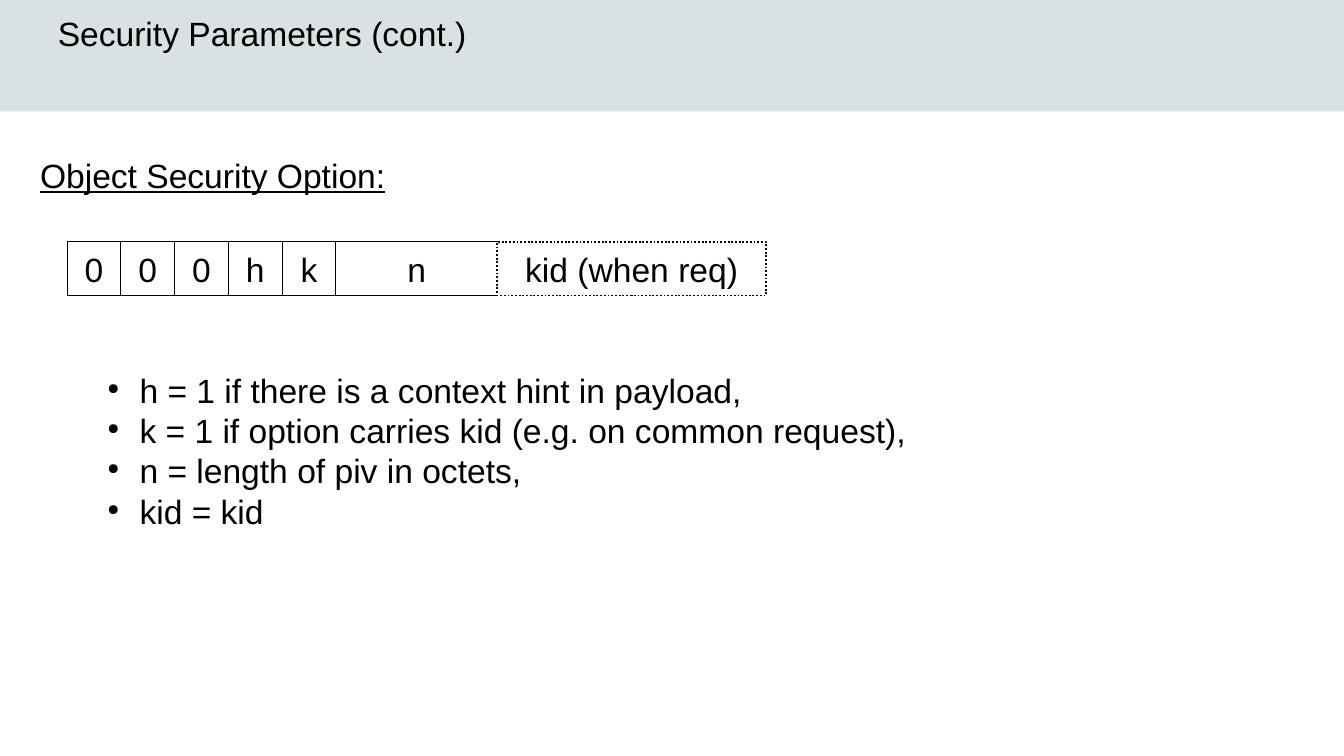
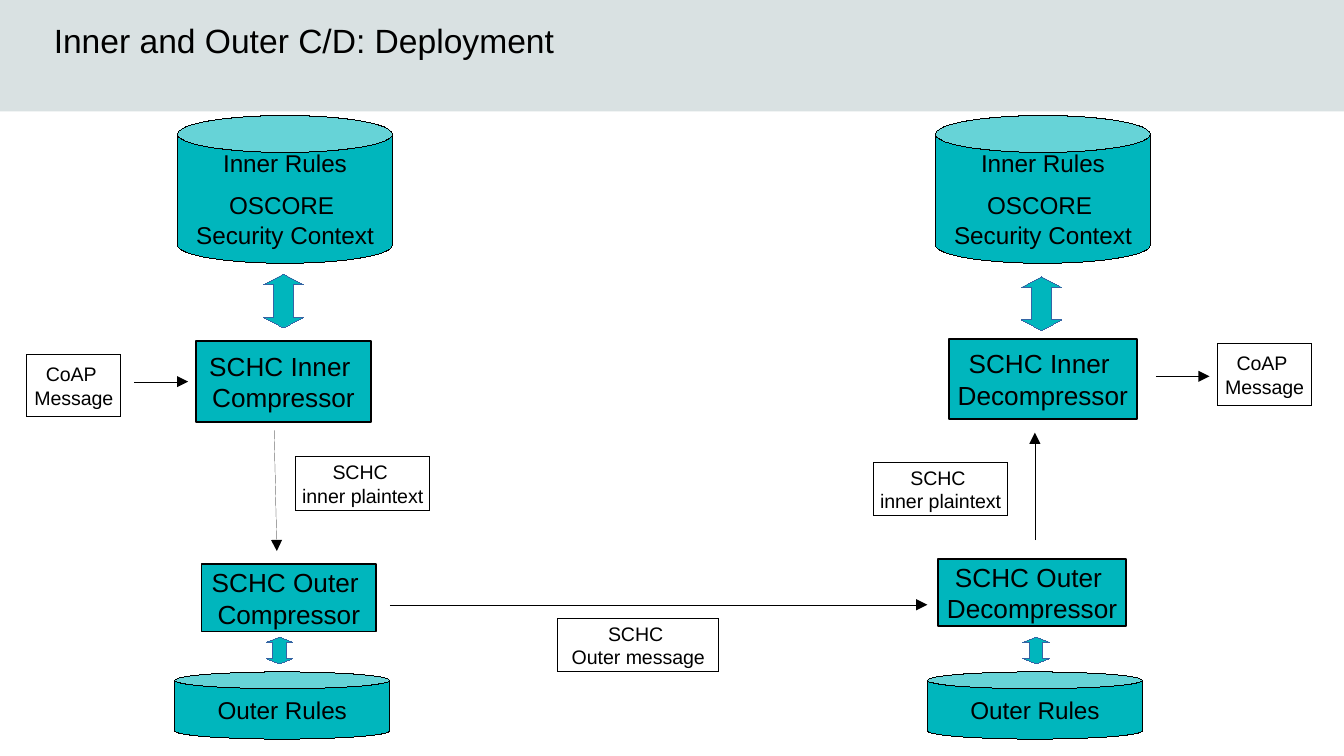
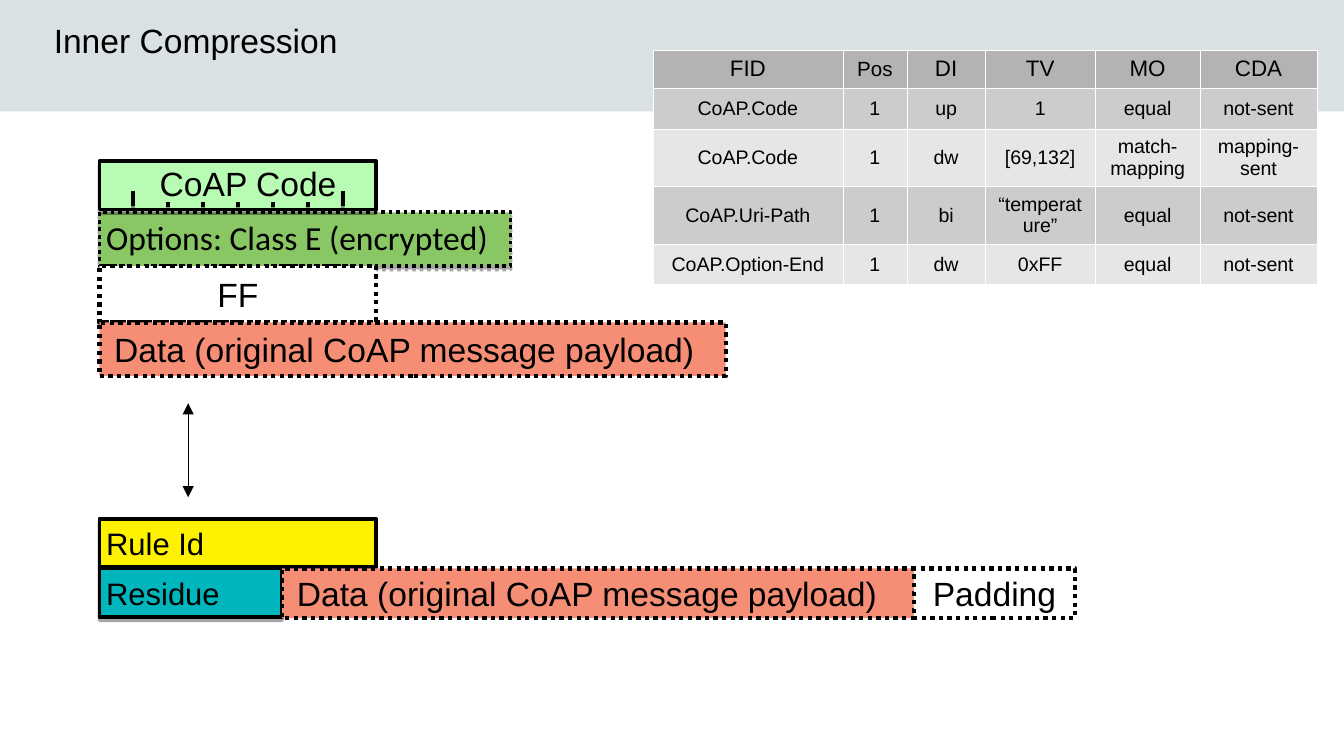
from lxml import etree
from pptx import Presentation
from pptx.dml.color import RGBColor
from pptx.enum.dml import MSO_LINE
from pptx.enum.shapes import MSO_CONNECTOR, MSO_SHAPE
from pptx.enum.text import MSO_ANCHOR, MSO_AUTO_SIZE, PP_ALIGN
from pptx.oxml.ns import qn
from pptx.util import Pt

PX = 9144  # 100 px to the inch
SPAN = 1000 * PX
RECT, CAN, ARROW = MSO_SHAPE.RECTANGLE, MSO_SHAPE.CAN, MSO_SHAPE.LEFT_RIGHT_ARROW
STRAIGHT = MSO_CONNECTOR.STRAIGHT
DOTS = MSO_LINE.ROUND_DOT
LEFT, CENTER = PP_ALIGN.LEFT, PP_ALIGN.CENTER
TOP, MIDDLE = MSO_ANCHOR.TOP, MSO_ANCHOR.MIDDLE
FIXED = MSO_AUTO_SIZE.NONE

COLORS = {
    "band": "D9E1E2", "black": "000000", "white": "FFFFFF", "teal": "00B6BD",
    "blue": "3465A4", "leaf": "89C765", "mint": "B7FCB2", "salmon": "F68E76",
    "yellow": "FFF200", "head": "B3B3B3", "dark": "CCCCCC", "light": "E6E6E6",
}
PAD, WIDE, TIGHT = (10, 5), (11, 6), (5, 5)
DATA = "Data (original CoAP message payload)"

RULES = [
    ["FID", "Pos", "DI", "TV", "MO", "CDA"],
    ["CoAP.Code", "1", "up", "1", "equal", "not-sent"],
    ["CoAP.Code", "1", "dw", "[69,132]", "match-mapping", "mapping-sent"],
    ["CoAP.Uri-Path", "1", "bi", "“temperature”", "equal", "not-sent"],
    ["CoAP.Option-End", "1", "dw", "0xFF", "equal", "not-sent"],
]


def color(name):
    return RGBColor.from_string(COLORS[name])


def scale(place):
    return [n * PX for n in place]


def apply(target, look):
    for key, value in look.items():
        setattr(target, key, value)


def add(parent, tag, **attrs):
    return etree.SubElement(parent, qn(tag), attrs)


# Text
def write(frame, text, size=18, align=CENTER, font="Arial", lead=None, pitch=None):
    """Fill a frame, one paragraph a line; lead maps a line to its space before."""
    for i, line in enumerate(text.split("\n")):
        para = frame.paragraphs[0] if i == 0 else frame.add_paragraph()
        apply(para, {"alignment": align, "line_spacing": pitch,
                     "space_before": Pt((lead or {}).get(i, 0))})
        run = para.add_run()
        run.text = line
        apply(run.font, {"name": font, "size": Pt(size), "bold": False})
        run.font.color.rgb = color("black")


def set_frame(frame, pad, anchor, wrap):
    side, end = pad[0] * PX, pad[1] * PX
    apply(frame, {
        "margin_left": side, "margin_right": side, "margin_top": end,
        "margin_bottom": end, "vertical_anchor": anchor,
        "word_wrap": wrap, "auto_size": FIXED,
    })


def label(slide, place, text):
    frame = slide.shapes.add_textbox(*scale(place)).text_frame
    set_frame(frame, PAD, TOP, True)
    write(frame, text, align=LEFT)
    return frame


def bullet(para):
    props = para._p.get_or_add_pPr()
    indent = 24 * PX
    props.set("marL", str(indent))
    props.set("indent", str(-indent))
    add(add(props, "a:buClr"), "a:srgbClr", val=COLORS["black"])
    add(props, "a:buSzPct", val="45000")
    add(props, "a:buChar", char="●")


# Shapes and lines
def stroke(line, edge, width):
    """Colour a line; the width is written even when 0, for a hairline."""
    line.color.rgb = color(edge)
    props = line._get_or_add_ln()
    props.set("w", str(Pt(width)))
    return props


def shade(effects, alpha, drop):
    shadow = add(effects, "a:outerShdw", blurRad="0", dist=str(Pt(drop)),
                 dir="5400000", rotWithShape="0")
    tint = add(shadow, "a:srgbClr", val=COLORS["black"])
    add(tint, "a:alpha", val=str(alpha * 1000))


def draw(slide, kind, place, fill, text="", edge="black", width=0, dash=None,
         pad=PAD, shadow=False, **look):
    shape = slide.shapes.add_shape(kind, *scale(place))
    shape.shadow.inherit = False
    shape.fill.solid()
    shape.fill.fore_color.rgb = color(fill)
    stroke(shape.line, edge, width)
    shape.line.dash_style = dash
    if shadow:
        shade(shape.element.spPr.find(qn("a:effectLst")), 35, 1.8)
    if text:
        centred = look.get("align", CENTER) == CENTER
        set_frame(shape.text_frame, pad, MIDDLE, not centred)
        write(shape.text_frame, text, **look)
    return shape


def rule(slide, ends, width=0, heads=()):
    """Draw a straight line; heads names the ends that bear an arrowhead."""
    line = slide.shapes.add_connector(STRAIGHT, *scale(ends))
    props = stroke(line.line, "black", width)
    for end in heads:
        add(props, end, type="triangle")
    return add(line.element.spPr, "a:effectLst")


def swap(slide, place, head):
    arrow = draw(slide, ARROW, place, "teal", edge="blue")
    arrow.rotation = 90
    arrow.adjustments[0], arrow.adjustments[1] = 0.5, head


# Shared parts
def add_band(deck):
    slide = deck.slides[0]
    band = draw(slide, RECT, (0, 0, 1000, 83), "band")
    band.line.fill.background()
    deck.slide_master.shapes.element.insert(2, band.element)


def new_slide(deck, title, place=(30, 10, 840, 94), pad=PAD, anchor=TOP):
    slide = deck.slides.add_slide(deck.slide_layouts[5])
    head = slide.shapes.title
    apply(head, dict(zip(("left", "top", "width", "height"), scale(place))))
    set_frame(head.text_frame, pad, anchor, True)
    write(head.text_frame, title, align=LEFT)
    return slide


# Slide 1
def security(deck):
    slide = new_slide(deck, "Security Parameters (cont.)", (43, 0, 791, 49), (0, 0), MIDDLE)
    frame = label(slide, (20, 110, 350, 38), "Object Security Option:")
    frame.paragraphs[0].runs[0].font.underline = True

    left = 50
    for text, wide in zip("000hkn", [40] * 5 + [120]):
        draw(slide, RECT, (left, 180, wide, 40), "white", text)
        left += wide
    draw(slide, RECT, (left, 180, 200, 40), "white", "kid (when req)",
         width=1, dash=DOTS, pad=WIDE)

    notes = label(slide, (70, 270, 830, 122),
                  "h = 1 if there is a context hint in payload,\n"
                  "k = 1 if option carries kid (e.g. on common request),\n"
                  "n = length of piv in octets,\n"
                  "kid = kid")
    for para in notes.paragraphs:
        bullet(para)


# Slide 2
def deployment(deck):
    slide = new_slide(deck, "Inner and Outer C/D: Deployment")

    # Rule stores and the arrows to them
    for left in (132, 696):
        draw(slide, CAN, (left, 86, 160, 110), "teal",
             "Inner Rules\nOSCORE \nSecurity Context", size=13, lead={1: 7})
    for left in (130, 690):
        draw(slide, CAN, (left, 500, 160, 50), "teal", "Outer Rules", size=13)
    for left, top in ((191, 209), (755, 211)):
        swap(slide, (left, top, 40, 30), 0.265)
    for left in (198, 761):
        swap(slide, (left, 474, 20, 20), 0.199)

    # Stages
    for place, text in (
        ((146, 254, 130, 60), "SCHC Inner \nCompressor"),
        ((150, 420, 130, 50), "SCHC Outer \nCompressor"),
        ((698, 416, 140, 50), "SCHC Outer \nDecompressor"),
        ((706, 252, 140, 60), "SCHC Inner \nDecompressor"),
    ):
        draw(slide, RECT, place, "teal", text, width=1, pad=WIDE, size=14)

    # Messages
    for place, text in (
        ((20, 264, 70, 46), "CoAP \nMessage"),
        ((906, 256, 70, 46), "CoAP \nMessage"),
        ((220, 340, 100, 40), "SCHC \ninner plaintext"),
        ((650, 344, 100, 40), "SCHC \ninner plaintext"),
        ((415, 460, 120, 40), "SCHC \nOuter message"),
    ):
        draw(slide, RECT, place, "white", text, size=10.5)

    # Flow
    for ends in ((100, 284, 140, 284), (204, 320, 206, 410), (290, 450, 690, 450),
                 (770, 402, 770, 322), (860, 280, 900, 280)):
        rule(slide, ends, heads=("a:tailEnd",))


# Slide 3
def fill_cell(cell, text, size, fill):
    apply(cell, {"vertical_anchor": MIDDLE, "margin_left": 9 * PX, "margin_right": 9 * PX})
    write(cell.text_frame, text, size)
    cell.fill.solid()
    cell.fill.fore_color.rgb = color(fill)
    props = cell._tc.get_or_add_tcPr()
    for i, side in enumerate(("a:lnL", "a:lnR", "a:lnT", "a:lnB")):
        line = add(props, side, w="762")
        add(add(line, "a:solidFill"), "a:srgbClr", val=COLORS["white"])
        props.insert(i, line)


def rule_table(slide):
    wides, highs = (141, 48, 58, 82, 78, 87), (25, 30, 43, 43, 30)
    place = (486, 37, sum(wides), sum(highs))
    table = slide.shapes.add_table(len(highs), len(wides), *scale(place)).table
    apply(table, {"first_row": False, "horz_banding": False})
    for col, wide in zip(table.columns, wides):
        col.width = wide * PX
    for r, texts in enumerate(RULES):
        table.rows[r].height = highs[r] * PX
        fill = "head" if r == 0 else "dark" if r % 2 else "light"
        for c, text in enumerate(texts):
            size = 10.5 if r else 11 if text == "Pos" else 12
            fill_cell(table.cell(r, c), text, size, fill)


def inner(deck):
    slide = new_slide(deck, "Inner Compression")
    solid = {"width": 2, "pad": TIGHT, "shadow": True, "align": LEFT}
    dotted = {"width": 2.3, "dash": DOTS, "pad": WIDE}

    # Message before compression
    draw(slide, RECT, (74, 158, 306, 40), "leaf", "Options: Class E (encrypted)",
         dash=DOTS, font="Calibri", pitch=0.9, **solid)
    draw(slide, RECT, (74, 120, 206, 36), "mint", **solid)
    for i in range(7):
        left = 99 + 26 * i
        top, end = (142, 153) if i in (0, 6) else (150, 154)
        shade(rule(slide, (left, end, left, top), width=2), 38, 1.6)
    label(slide, (109, 116, 170, 38), "CoAP Code")
    draw(slide, RECT, (74, 198, 206, 42), "white", "FF", **dotted)
    draw(slide, RECT, (74, 240, 466, 40), "salmon", DATA, align=LEFT, **dotted)

    rule_table(slide)
    rule(slide, (140, 300, 140, 370), heads=("a:headEnd", "a:tailEnd"))

    # Message after compression
    draw(slide, RECT, (74, 386, 206, 36), "yellow", "Rule Id", size=16.6, **solid)
    draw(slide, RECT, (74, 423, 136, 36), "teal", "Residue", size=16.6, **solid)
    draw(slide, RECT, (210, 423, 470, 37), "salmon", DATA, align=LEFT, **dotted)
    draw(slide, RECT, (680, 423, 120, 37), "white", "Padding", **dotted)


def main():
    deck = Presentation()
    apply(deck, {"slide_width": SPAN, "slide_height": SPAN * 9 // 16})
    for build in (security, deployment, inner):
        build(deck)
    add_band(deck)
    deck.save("out.pptx")


if __name__ == "__main__":
    main()
